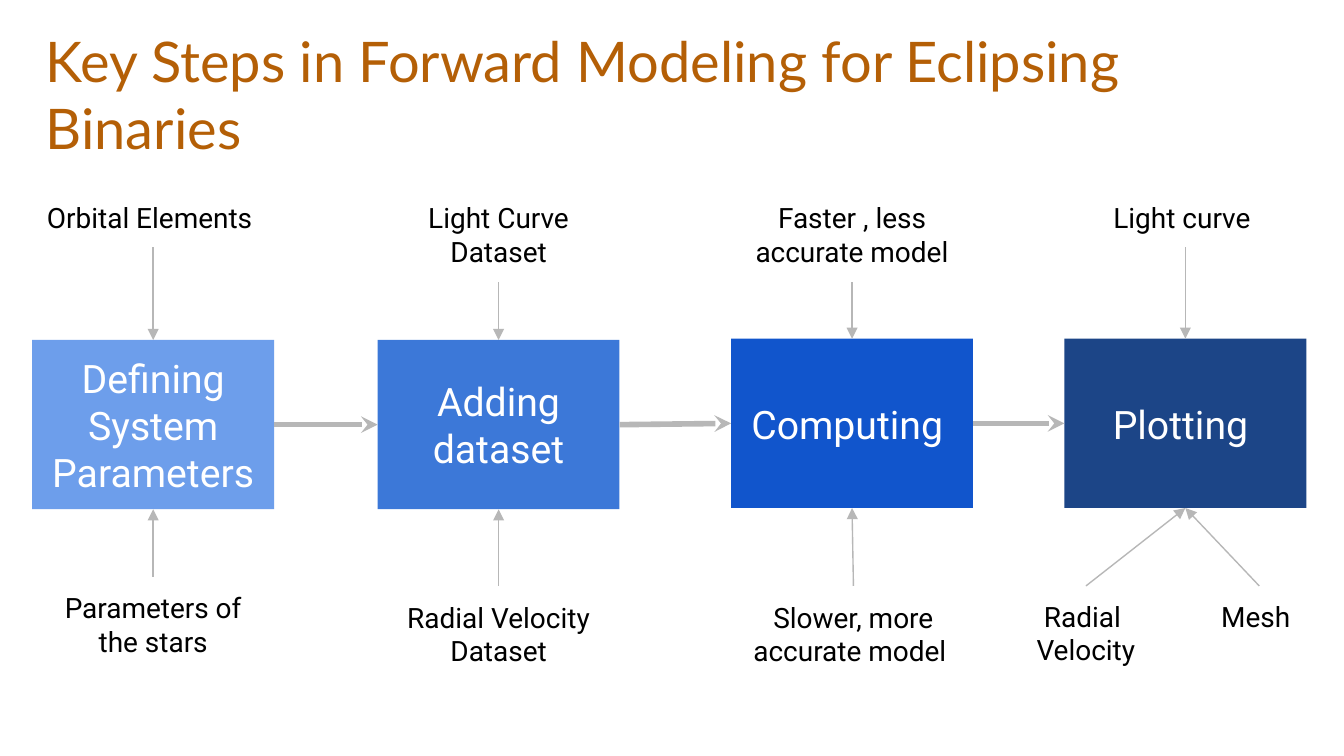
import pptx
import pptx.util
import pptx.dml.color
import pptx.enum.shapes
import pptx.enum.text
import pptx.oxml.ns
import lxml.etree

Inches = pptx.util.Inches
Pt = pptx.util.Pt
RGB = pptx.dml.color.RGBColor
Anchor = pptx.enum.text.MSO_ANCHOR
Align = pptx.enum.text.PP_ALIGN
Fit = pptx.enum.text.MSO_AUTO_SIZE

ORANGE = RGB(0xB4, 0x5F, 0x06)
GREY = RGB(0xB7, 0xB7, 0xB7)
WHITE = RGB(0xFF, 0xFF, 0xFF)
BLACK = RGB(0x00, 0x00, 0x00)

TOP, LEFT, BOTTOM, RIGHT = range(4)
STEP_W, STEP_H = 1.8, 1.26
MIDDLE = Anchor.MIDDLE

# text, left, top, fill
STEPS = [
    ("Defining System Parameters", 0.24, 2.53, RGB(0x6D, 0x9E, 0xEB)),
    ("Adding dataset", 2.81, 2.53, RGB(0x3C, 0x78, 0xD8)),
    ("Computing ", 5.44, 2.52, RGB(0x11, 0x55, 0xCC)),
    ("Plotting ", 7.92, 2.52, RGB(0x1C, 0x45, 0x87)),
]

# step number, step side, paragraphs, shift from step centre,
# top, width, height, anchor
LABELS = [
    (0, TOP, ["Orbital Elements "], 0, 1.39, 1.8, 0.45, MIDDLE),
    (0, BOTTOM, ["Parameters of the stars"], 0, 4.29, 1.67, 0.71, MIDDLE),
    (1, TOP, ["Light Curve Dataset"], 0, 1.39, 1.67, 0.71, MIDDLE),
    (1, BOTTOM, ["Radial Velocity", "Dataset"], 0, 4.36, 1.59, 0.71, MIDDLE),
    (2, TOP, ["Faster , less accurate model "], 0, 1.39, 1.67, 0.71, MIDDLE),
    (2, BOTTOM, ["Slower, more accurate model "], 0.01, 4.36, 1.74, 0.71, MIDDLE),
    (3, TOP, ["Light curve "], 0, 1.39, 1.59, 0.45, MIDDLE),
    (3, BOTTOM, ["Radial ", "Velocity"], -0.74, 4.36, 1.8, 0.71, Anchor.TOP),
    (3, BOTTOM, ["Mesh "], 0.55, 4.36, 1.26, 0.45, MIDDLE),
]


def write(shape, lines, size, font, color, align=Align.CENTER,
          anchor=MIDDLE, fit=Fit.NONE):
    """Fill a shape with one paragraph for each line."""
    frame = shape.text_frame
    frame.word_wrap = True
    frame.auto_size = fit
    frame.vertical_anchor = anchor
    frame.margin_left = frame.margin_right = Inches(0.1)
    frame.margin_top = frame.margin_bottom = Inches(0.1)
    for i, line in enumerate(lines):
        para = frame.add_paragraph() if i else frame.paragraphs[0]
        para.alignment = align
        run = para.add_run()
        run.text = line
        run.font.size = Pt(size)
        run.font.name = font
        run.font.color.rgb = color


def add_title(slide, text):
    title = slide.shapes.title
    title.left, title.top = Inches(0.24), Inches(0)
    title.width, title.height = Inches(9.47), Inches(1.39)
    write(title, [text], 30, "Lato", ORANGE, Align.LEFT)


def add_step(slide, text, left, top, fill):
    step = slide.shapes.add_shape(
        pptx.enum.shapes.MSO_SHAPE.RECTANGLE,
        Inches(left), Inches(top), Inches(STEP_W), Inches(STEP_H))
    step.shadow.inherit = False
    step.fill.solid()
    step.fill.fore_color.rgb = fill
    step.line.fill.background()
    write(step, [text], 21, "Roboto", WHITE)
    return step


def add_label(slide, step, lines, shift, top, width, height, anchor):
    """Add a text box whose centre is shifted sideways from the step's."""
    left = step.left + (step.width - Inches(width)) // 2 + Inches(shift)
    label = slide.shapes.add_textbox(
        left, Inches(top), Inches(width), Inches(height))
    write(label, lines, 15, "Roboto", BLACK, anchor=anchor,
          fit=Fit.SHAPE_TO_FIT_TEXT)
    return label


def add_arrow(slide, start, side, end, end_side, width, head):
    """Join the given sides of two shapes, with the arrowhead at the end."""
    arrow = slide.shapes.add_connector(
        pptx.enum.shapes.MSO_CONNECTOR.STRAIGHT, 0, 0, 0, 0)
    arrow.begin_connect(start, side)
    arrow.end_connect(end, end_side)
    arrow.line.color.rgb = GREY
    arrow.line.width = Pt(width)
    qn = pptx.oxml.ns.qn
    tail = lxml.etree.SubElement(arrow.get_or_add_ln(), qn("a:tailEnd"))
    tail.set("type", head)
    lxml.etree.SubElement(arrow._element.spPr, qn("a:effectLst"))


def main():
    deck = pptx.Presentation()
    deck.slide_width = Inches(10)
    deck.slide_height = deck.slide_width * 9 // 16
    slide = deck.slides.add_slide(deck.slide_layouts[5])
    add_title(slide, "Key Steps in Forward Modeling for Eclipsing Binaries")

    steps = [add_step(slide, *step) for step in STEPS]
    for step, after in zip(steps, steps[1:]):
        add_arrow(slide, step, RIGHT, after, LEFT, 3, "stealth")

    for index, side, *details in LABELS:
        step = steps[index]
        label = add_label(slide, step, *details)
        facing = BOTTOM if side == TOP else TOP
        add_arrow(slide, label, facing, step, side, 0.75, "triangle")

    deck.save("out.pptx")


if __name__ == "__main__":
    main()
